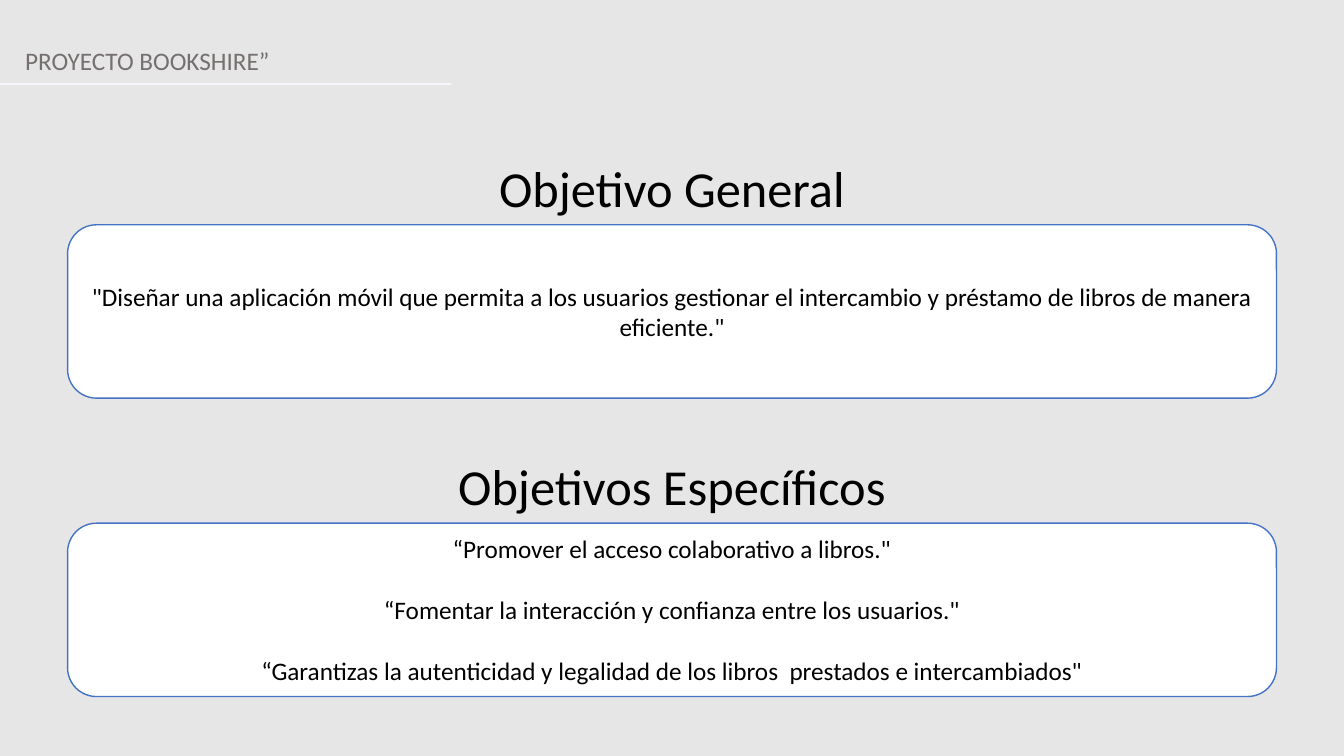
from dataclasses import dataclass

from pptx import Presentation
from pptx.dml.color import RGBColor as RGB
from pptx.enum.shapes import MSO_CONNECTOR as Link, MSO_SHAPE as Shape
from pptx.enum.text import MSO_ANCHOR as Anchor, MSO_AUTO_SIZE as Fit, PP_ALIGN as Align
from pptx.oxml.ns import qn
from pptx.util import Inches, Pt


@dataclass(frozen=True)
class Theme:
    font: str = "Calibri"
    back: RGB = RGB(0xE7, 0xE6, 0xE6)
    grey: RGB = RGB(0x75, 0x70, 0x70)
    rule: RGB = RGB(0xF5, 0xF7, 0xFC)
    edge: RGB = RGB(0x44, 0x72, 0xC4)
    white: RGB = RGB(0xFF, 0xFF, 0xFF)
    black: RGB = RGB(0, 0, 0)
    body: Pt = Pt(18)
    head: Pt = Pt(36)
    gap: Pt = Pt(22)


THEME = Theme()
WIDTH, HEIGHT = 13.33, 7.5

# Each section: top of its heading, heading, statements in the card
PARTS = [
    (1.51, "Objetivo General", [
        '"Diseñar una aplicación móvil que permita a los usuarios gestionar '
        'el intercambio y préstamo de libros de manera eficiente."',
    ]),
    (4.47, "Objetivos Específicos", [
        '“Promover el acceso colaborativo a libros."',
        '“Fomentar la interacción y confianza entre los usuarios."',
        '“Garantizas la autenticidad y legalidad de los libros  prestados e intercambiados"',
    ]),
]


def apply(item, values):
    for name, value in values.items():
        setattr(item, name, value)


def write(shape, lines, size, color, align=Align.CENTER, anchor=Anchor.TOP):
    frame = shape.text_frame
    apply(frame, {
        "word_wrap": True, "auto_size": Fit.NONE, "vertical_anchor": anchor,
        "margin_left": Inches(0.1), "margin_right": Inches(0.1),
        "margin_top": Inches(0.05), "margin_bottom": Inches(0.05),
    })
    for i, line in enumerate(lines):
        para = frame.add_paragraph() if i else frame.paragraphs[0]
        apply(para, {"alignment": align, "space_before": THEME.gap if i else Pt(0)})
        run = para.add_run()
        run.text = line
        apply(run.font, {"name": THEME.font, "size": size})
        run.font.color.rgb = color


def add_title(slide, text):
    title = slide.shapes.title
    apply(title, {"left": Inches(0.15), "top": Inches(0.4),
                  "width": Inches(WIDTH), "height": Inches(0.4)})
    write(title, [text], THEME.body, THEME.grey, Align.LEFT)


def add_rule(slide, top, width):
    rule = slide.shapes.add_connector(
        Link.STRAIGHT, 0, Inches(top), Inches(width), Inches(top))
    rule.line.color.rgb = THEME.rule
    rule.line.width = Pt(1.25)
    props = rule.element.spPr
    props.append(props.makeelement(qn("a:effectLst"), {}))


def add_head(slide, top, text):
    box = slide.shapes.add_textbox(0, Inches(top), Inches(WIDTH), Inches(0.71))
    write(box, [text], THEME.head, THEME.black)


def add_card(slide, top, lines):
    card = slide.shapes.add_shape(
        Shape.ROUNDED_RECTANGLE, Inches(0.67), Inches(top), Inches(11.99), Inches(1.72))
    card.shadow.inherit = False
    card.fill.solid()
    card.fill.fore_color.rgb = THEME.white
    card.line.color.rgb = THEME.edge
    card.line.width = Pt(1)
    write(card, lines, THEME.body, THEME.black, anchor=Anchor.MIDDLE)


def main():
    deck = Presentation()
    apply(deck, {"slide_width": Inches(WIDTH), "slide_height": Inches(HEIGHT)})
    slide = deck.slides.add_slide(deck.slide_layouts[5])
    slide.background.fill.solid()
    slide.background.fill.fore_color.rgb = THEME.back

    # Project name and its underline
    add_title(slide, "PROYECTO BOOKSHIRE”")
    add_rule(slide, 0.83, 4.47)

    # Objectives: heading with its card right below
    for top, head, lines in PARTS:
        add_head(slide, top, head)
        add_card(slide, top + 0.72, lines)

    deck.save("out.pptx")


if __name__ == "__main__":
    main()
